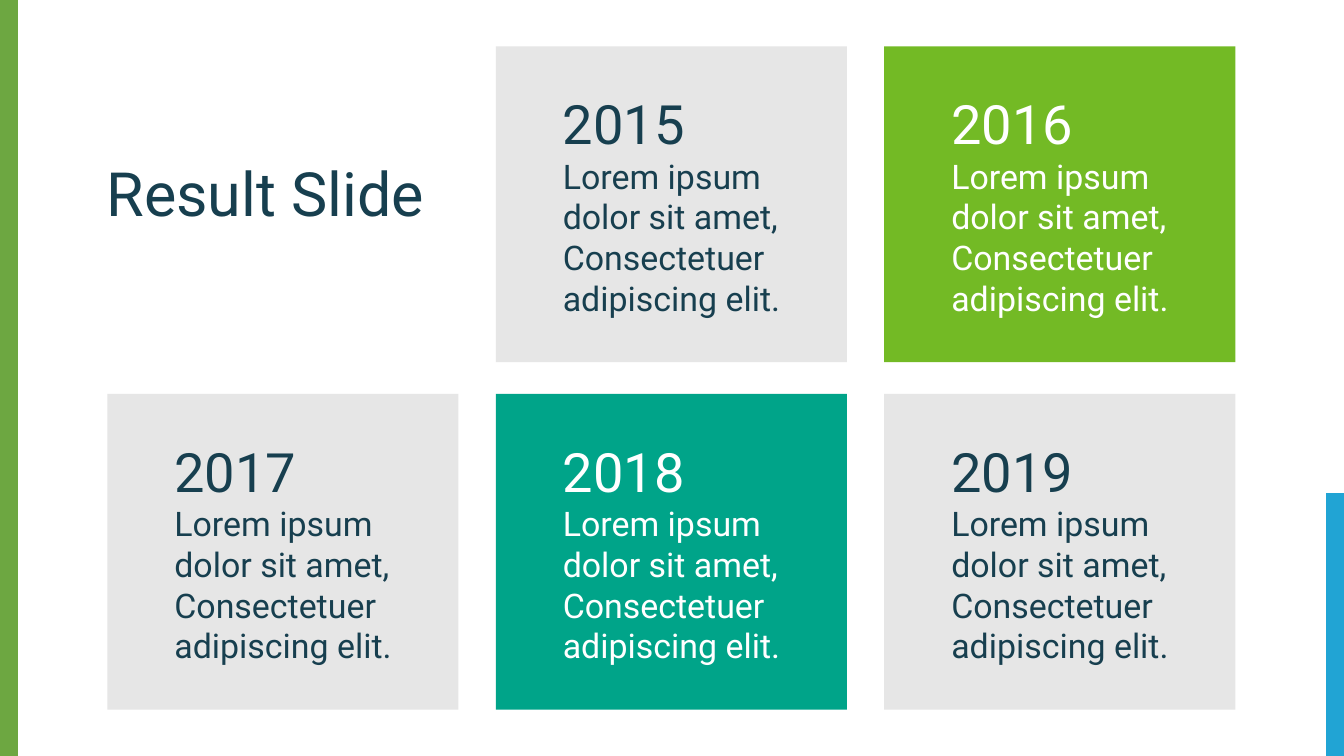
"""Build the Result Slide: a title and five yearly result tiles."""
from lxml import etree
from pptx import Presentation
from pptx.dml.color import RGBColor
from pptx.enum.shapes import MSO_CONNECTOR as Connector, MSO_SHAPE as Shape
from pptx.enum.text import MSO_ANCHOR as Anchor, MSO_AUTO_SIZE as AutoSize, PP_ALIGN as Align
from pptx.oxml.ns import qn
from pptx.util import Inches, Pt

NAVY, WHITE, GREY, GREEN, TEAL = "173F4F", "FFFFFF", "E6E6E6", "73BA25", "00A489"
LEFT, TOP, WIDTH, HEIGHT = 0.88, 0.38, 2.88, 2.59
COLUMN_STEP, ROW_STEP = (7.25 - LEFT) / 2, 2.85
LINES = ["Lorem ipsum", "dolor sit amet,", "Consectetuer", "adipiscing elit."]


def color(value):
    return RGBColor.from_string(value)


def write(para, text, size, ink, align):
    para.alignment = align
    span = para.add_run()
    span.text = text
    for name, value in {"name": "Roboto", "size": Pt(size), "bold": False}.items():
        setattr(span.font, name, value)
    span.font.color.rgb = color(ink)


deck = Presentation()
deck.slide_width, deck.slide_height = Inches(11.02), Inches(6.2)
page = deck.slides.add_slide(deck.slide_layouts[5])

title = page.shapes.title
title_place = {"left": 0.55, "top": 0.25, "width": 3.25, "height": 2.65}
for name, value in title_place.items():
    setattr(title, name, Inches(value))
title_format = {"margin_left": 0, "margin_top": 0, "margin_right": 0, "margin_bottom": 0,
                "vertical_anchor": Anchor.MIDDLE, "word_wrap": True,
                "auto_size": AutoSize.NONE}
for name, value in title_format.items():
    setattr(title.text_frame, name, value)
write(title.text_frame.paragraphs[0], "Result Slide", 36, NAVY, Align.CENTER)

tiles = [("2015", 1, 0, GREY, NAVY), ("2016", 2, 0, GREEN, WHITE),
         ("2017", 0, 1, GREY, NAVY), ("2018", 1, 1, TEAL, WHITE),
         ("2019", 2, 1, GREY, NAVY)]
tile_format = {"margin_left": Inches(0.55), "margin_right": Inches(0.1),
               "vertical_anchor": Anchor.MIDDLE, "word_wrap": True}
for year, column, row, fill, ink in tiles:
    tile = page.shapes.add_shape(
        Shape.RECTANGLE, Inches(LEFT + column * COLUMN_STEP),
        Inches(TOP + row * ROW_STEP), Inches(WIDTH), Inches(HEIGHT))
    tile.shadow.inherit = False
    tile.fill.solid()
    tile.fill.fore_color.rgb = color(fill)
    tile.line.fill.background()
    frame = tile.text_frame
    for name, value in tile_format.items():
        setattr(frame, name, value)
    write(frame.paragraphs[0], year, 32, ink, Align.LEFT)
    for line in LINES:
        write(frame.add_paragraph(), line, 20, ink, Align.LEFT)

for x, top, stroke in [(0.05, 0, "6DA741"), (10.97, 4.04, "21A4D4")]:
    bar = page.shapes.add_connector(
        Connector.STRAIGHT, Inches(x), Inches(top), Inches(x), deck.slide_height)
    bar.line.width = Pt(14.4)
    bar.line.color.rgb = color(stroke)
    etree.SubElement(bar._element.spPr, qn("a:effectLst"))

deck.save("out.pptx")
